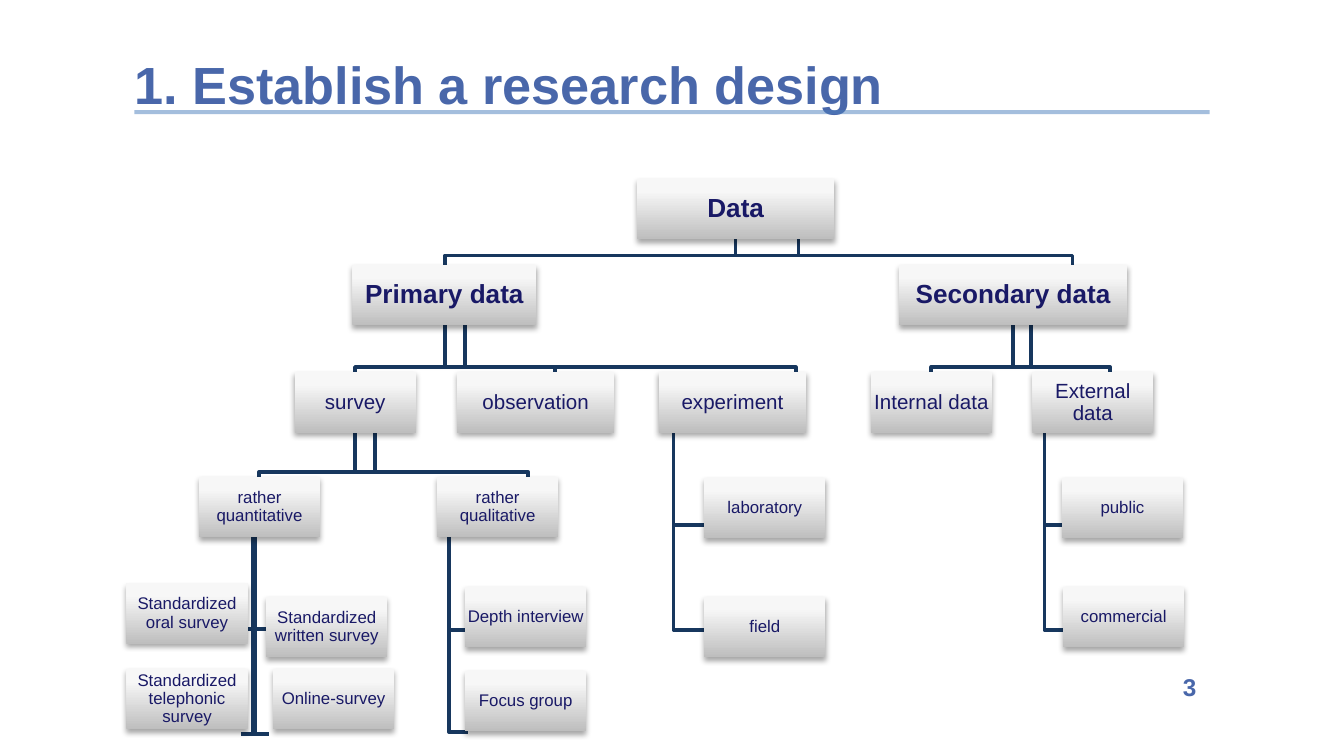
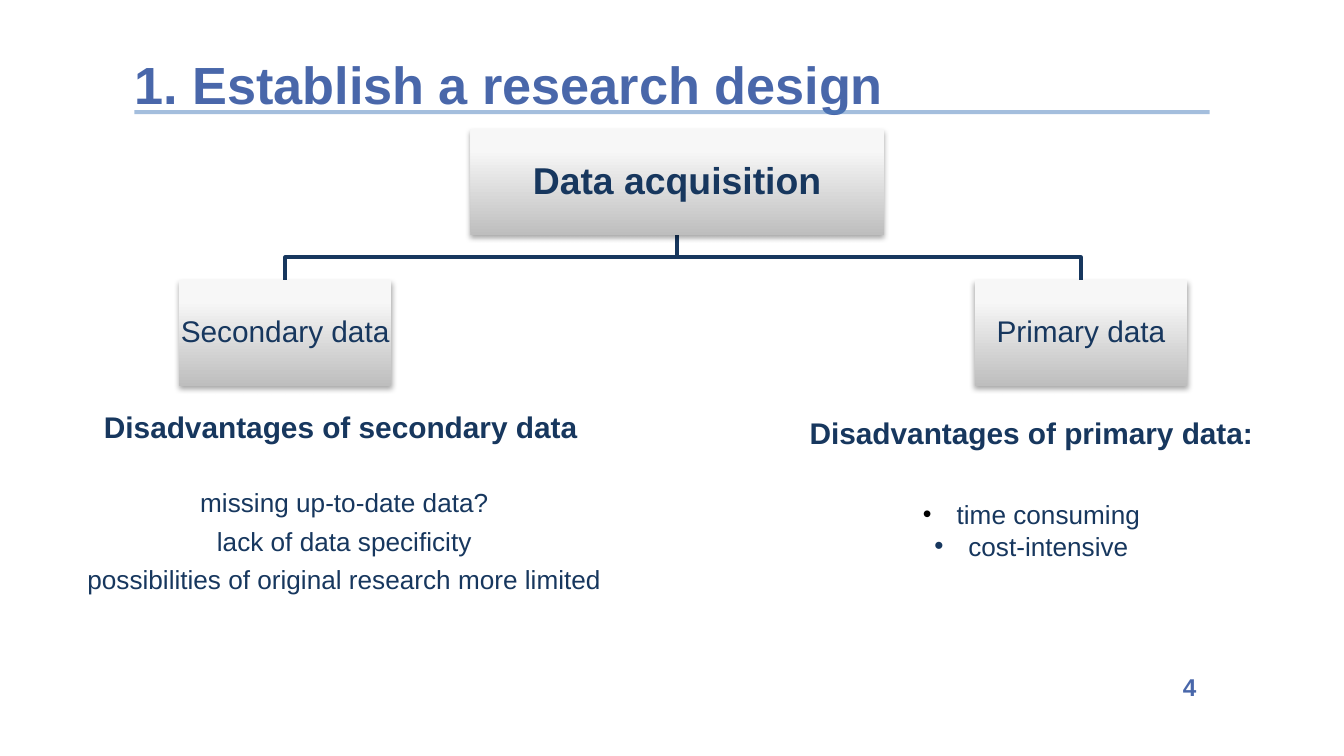
from lxml import etree
from pptx import Presentation
from pptx.dml.color import RGBColor
from pptx.enum.shapes import MSO_CONNECTOR, MSO_SHAPE
from pptx.enum.text import MSO_ANCHOR, MSO_AUTO_SIZE, PP_ALIGN
from pptx.oxml import parse_xml
from pptx.oxml.ns import nsdecls, qn
from pptx.util import Cm, Pt

# Enum members
LEFT, CENTER, RIGHT = PP_ALIGN.LEFT, PP_ALIGN.CENTER, PP_ALIGN.RIGHT
TOP, MIDDLE = MSO_ANCHOR.TOP, MSO_ANCHOR.MIDDLE
RECTANGLE, STRAIGHT = MSO_SHAPE.RECTANGLE, MSO_CONNECTOR.STRAIGHT
NO_AUTO_SIZE = MSO_AUTO_SIZE.NONE

# Colours and font
TITLE_BLUE = RGBColor(0x49, 0x67, 0xAA)
RULE_BLUE = RGBColor(0x4B, 0x7E, 0xBC)
NAVY = RGBColor(0x17, 0x37, 0x5E)
INDIGO = RGBColor(0x19, 0x19, 0x66)
BLACK = RGBColor(0, 0, 0)
BOX_GRADIENT = ((0, RGBColor(0xBE, 0xBE, 0xBE)),
                (80, RGBColor(0xF7, 0xF7, 0xF7)),
                (100, RGBColor(0xF8, 0xF8, 0xF8)))
FONT = "Arial"
TITLE = "1. Establish a research design"
TITLE_ONLY = 5

# Regions: left, top, width, height in centimetres
TITLE_BOX = (2.54, 0.84, 20.3, 1.8)
NUMBER_BOX = (12.34, 12.57, 10.52, 0.81)
DATA_TREE_BOX = (2.39, 3.38, 20.0, 10.5)
ACQUISITION_BOX = (3.38, 2.44, 19.06, 4.85)
SECONDARY_BOX = (0.84, 7.7, 11.2, 6.35)
PRIMARY_BOX = (13.59, 7.7, 11.81, 6.15)

# Data tree: text, left, top, width, relative to its region
NODE_HEIGHT, NODE_WIDTH = 1.14, 2.29
ROOT_NODES = (("Data", 9.65, 0, 3.73), ("Primary data", 4.27, 1.63, 3.48),
              ("Secondary data", 14.6, 1.63, 4.32))
METHOD_NODES = (("survey", 3.18, 3.66, NODE_WIDTH),
                ("observation", 6.25, 3.66, 2.97),
                ("experiment", 10.06, 3.66, 2.79),
                ("Internal data", 14.07, 3.66, NODE_WIDTH),
                ("External data", 17.12, 3.66, NODE_WIDTH))
DETAIL_NODES = tuple((text, left, top, NODE_WIDTH) for text, left, top in (
    ("rather quantitative", 1.37, 5.64),
    ("Standardized oral survey", 0, 7.65),
    ("Standardized written survey", 2.64, 7.9),
    ("Standardized telephonic survey", 0, 9.27),
    ("Online-survey", 2.77, 9.27),
    ("rather qualitative", 5.87, 5.64),
    ("Depth interview", 6.4, 7.72),
    ("Focus group", 6.4, 9.3),
    ("laboratory", 10.92, 5.66),
    ("field", 10.92, 7.9),
    ("public", 17.68, 5.66),
    ("commercial", 17.7, 7.72)))
NODE_LEVELS = ((ROOT_NODES, {"size": Pt(14), "bold": True}),
               (METHOD_NODES, {"size": Pt(11)}),
               (DETAIL_NODES, {"size": Pt(9)}))

# Branches: start, turn and end heights, then (start x, end x) pairs
BRANCHES = (
    ((1.14, 1.45, 1.73), ((11.51, 17.88), (12.7, 6.02))),
    ((2.77, 3.56, 3.86), ((6.02, 8.1), (6.02, 12.65), (6.4, 4.32),
                          (16.76, 18.59), (17.09, 15.21))),
    ((4.8, 5.54, 5.82), ((4.32, 7.59), (4.7, 2.51))),
)
# Hangers: stem x, tip x, start height, tip heights
HANGERS = (
    (17.35, 17.75, 4.8, (6.55, 8.53)),
    (10.34, 11.02, 4.8, (6.55, 8.53)),
    (6.1, 6.45, 6.78, (8.53, 10.46)),
    (2.39, 2.69, 6.78, (8.51, 10.49)),
    (2.44, 2.16, 6.78, (8.51, 10.49)),
)


def apply_format(target, values):
    for name, value in values.items():
        setattr(target, name, value)


def format_frame(frame, anchor=TOP, insets=(0, 0, 0, 0)):
    left, top, right, bottom = (Cm(inset) for inset in insets)
    apply_format(frame, {
        "word_wrap": True, "auto_size": NO_AUTO_SIZE, "vertical_anchor": anchor,
        "margin_left": left, "margin_top": top,
        "margin_right": right, "margin_bottom": bottom})


def write(paragraph, text, color, font, layout):
    apply_format(paragraph, layout)
    run = paragraph.add_run()
    run.text = text
    apply_format(run.font, {"name": FONT, "bold": False, **font})
    run.font.color.rgb = color


def add_text_box(slide, box, insets):
    shape = slide.shapes.add_textbox(*(Cm(value) for value in box))
    format_frame(shape.text_frame, TOP, insets)
    return shape.text_frame


def set_indent(paragraph, margin, indent):
    properties = paragraph._p.get_or_add_pPr()
    properties.set("marL", str(Cm(margin)))
    properties.set("indent", str(Cm(indent)))
    return properties


def add_bullet(paragraph, color=None):
    properties = set_indent(paragraph, 0.64, -0.64)
    if color is not None:
        holder = etree.SubElement(properties, qn("a:buClr"))
        etree.SubElement(holder, qn("a:srgbClr")).set("val", str(color))
        etree.SubElement(properties, qn("a:buSzPct")).set("val", "95000")
    etree.SubElement(properties, qn("a:buFont")).set("typeface", FONT)
    etree.SubElement(properties, qn("a:buChar")).set("char", "•")


def add_path(slide, box, points):
    """Draw an open line through points given relative to the box."""
    left, top = box[:2]
    points = [(Cm(left + x), Cm(top + y)) for x, y in points]
    builder = slide.shapes.build_freeform(*points[0])
    builder.add_line_segments(points[1:], close=False)
    shape = builder.convert_to_shape()
    shape.shadow.inherit = False
    shape.fill.background()
    shape.line.color.rgb = NAVY
    shape.line.width = Pt(2)


def add_branch(slide, box, start_x, end_x, heights):
    start, turn, end = heights
    add_path(slide, box, ((start_x, start), (start_x, turn),
                          (end_x, turn), (end_x, end)))


def add_node(slide, box, text, bounds, color, font):
    """Add a grey gradient box with a soft shadow and centred text."""
    left, top, width, height = bounds
    shape = slide.shapes.add_shape(RECTANGLE, Cm(box[0] + left), Cm(box[1] + top),
                                   Cm(width), Cm(height))
    shape.line.fill.background()
    shape.shadow.inherit = False
    stops = "".join(f'<a:gs pos="{position * 1000}"><a:srgbClr val="{stop}"/></a:gs>'
                    for position, stop in BOX_GRADIENT)
    properties = shape._element.spPr
    properties.find(qn("a:prstGeom")).addnext(parse_xml(
        f'<a:gradFill {nsdecls("a")} rotWithShape="1"><a:gsLst>{stops}</a:gsLst>'
        '<a:lin ang="16200000" scaled="0"/></a:gradFill>'))
    properties.find(qn("a:effectLst")).append(parse_xml(
        f'<a:outerShdw {nsdecls("a")} blurRad="{Pt(3.1)}" dist="{Pt(1.8)}" '
        f'dir="5400000" rotWithShape="0"><a:srgbClr val="{BLACK}">'
        '<a:alpha val="35000"/></a:srgbClr></a:outerShdw>'))
    format_frame(shape.text_frame, MIDDLE, (0.02, 0.02, 0.02, 0.02))
    write(shape.text_frame.paragraphs[0], text, color, font,
          {"alignment": CENTER, "line_spacing": 0.9})


def add_frame_slide(presentation, number):
    """Start a slide with the shared title, rule and page number."""
    slide = presentation.slides.add_slide(presentation.slide_layouts[TITLE_ONLY])

    # Page number
    frame = add_text_box(slide, NUMBER_BOX, (0.25, 0.13, 0.25, 0.13))
    write(frame.paragraphs[0], str(number), TITLE_BLUE,
          {"size": Pt(13), "bold": True}, {"alignment": RIGHT})

    # Rule under the title
    rule = slide.shapes.add_connector(STRAIGHT, Cm(2.54), Cm(2.12), Cm(22.86), Cm(2.12))
    rule.line.color.rgb = RULE_BLUE
    rule.line.width = Pt(2.25)
    properties = rule._element.spPr
    color = properties.find(".//" + qn("a:srgbClr"))
    etree.SubElement(color, qn("a:alpha")).set("val", "50000")
    etree.SubElement(properties, qn("a:effectLst"))

    # Title
    title = slide.shapes.title
    names = ("left", "top", "width", "height")
    apply_format(title, dict(zip(names, (Cm(value) for value in TITLE_BOX))))
    format_frame(title.text_frame, TOP, (0, 0.15, 0, 0))
    write(title.text_frame.paragraphs[0], TITLE, TITLE_BLUE,
          {"size": Pt(28), "bold": True}, {"alignment": LEFT})
    return slide


def add_data_tree(slide, box):
    for heights, pairs in BRANCHES:
        for start_x, end_x in pairs:
            add_branch(slide, box, start_x, end_x, heights)
    for stem, tip, start, ends in HANGERS:
        for end in ends:
            add_path(slide, box, ((stem, start), (stem, end), (tip, end)))
    for nodes, font in NODE_LEVELS:
        for text, left, top, width in nodes:
            add_node(slide, box, text, (left, top, width, NODE_HEIGHT), INDIGO, font)


def add_acquisition_tree(slide, box):
    height, child_width, child_top = 2.0, 4.02, 2.85
    root_left, root_width = 5.51, 7.82
    children = (("Secondary data", 0), ("Primary data", box[2] - child_width))
    for _, left in children:
        add_branch(slide, box, root_left + root_width / 2, left + child_width / 2,
                   (height, (height + child_top) / 2, child_top))
    add_node(slide, box, "Data acquisition", (root_left, 0, root_width, height),
             NAVY, {"size": Pt(20), "bold": True})
    for text, left in children:
        add_node(slide, box, text, (left, child_top, child_width, height),
                 NAVY, {"size": Pt(16)})


def add_disadvantages(slide, box, insets, heading, items, gaps, bullets=None):
    """List items under a heading; gaps are the first and later spaces in points."""
    frame = add_text_box(slide, box, insets)
    write(frame.paragraphs[0], heading, NAVY, {"size": Pt(16), "bold": True},
          {"alignment": CENTER})
    for index, item in enumerate(items):
        paragraph = frame.add_paragraph()
        paragraph.space_before = Pt(gaps[min(index, 1)])
        if bullets:
            add_bullet(paragraph, bullets[index])
        else:
            set_indent(paragraph, 0.14, 0)
        write(paragraph, item, NAVY, {"size": Pt(14)}, {"alignment": CENTER})


def main():
    presentation = Presentation()
    presentation.slide_width, presentation.slide_height = Cm(25.4), Cm(14.29)

    # Slide 3: tree of data sources
    add_data_tree(add_frame_slide(presentation, 3), DATA_TREE_BOX)

    # Slide 4: data acquisition and its disadvantages
    slide = add_frame_slide(presentation, 4)
    add_acquisition_tree(slide, ACQUISITION_BOX)
    add_disadvantages(
        slide, SECONDARY_BOX, (0, 0.03, 0, 0), "Disadvantages of secondary data",
        ("missing up-to-date data?", "lack of data specificity",
         "possibilities of original research more limited"), (22.5, 3.7))
    add_disadvantages(
        slide, PRIMARY_BOX, (0.25, 0.13, 0.25, 0.13), "Disadvantages of primary data:",
        ("time consuming", "cost-intensive"), (26, 0), (BLACK, None))

    presentation.save("out.pptx")


if __name__ == "__main__":
    main()
